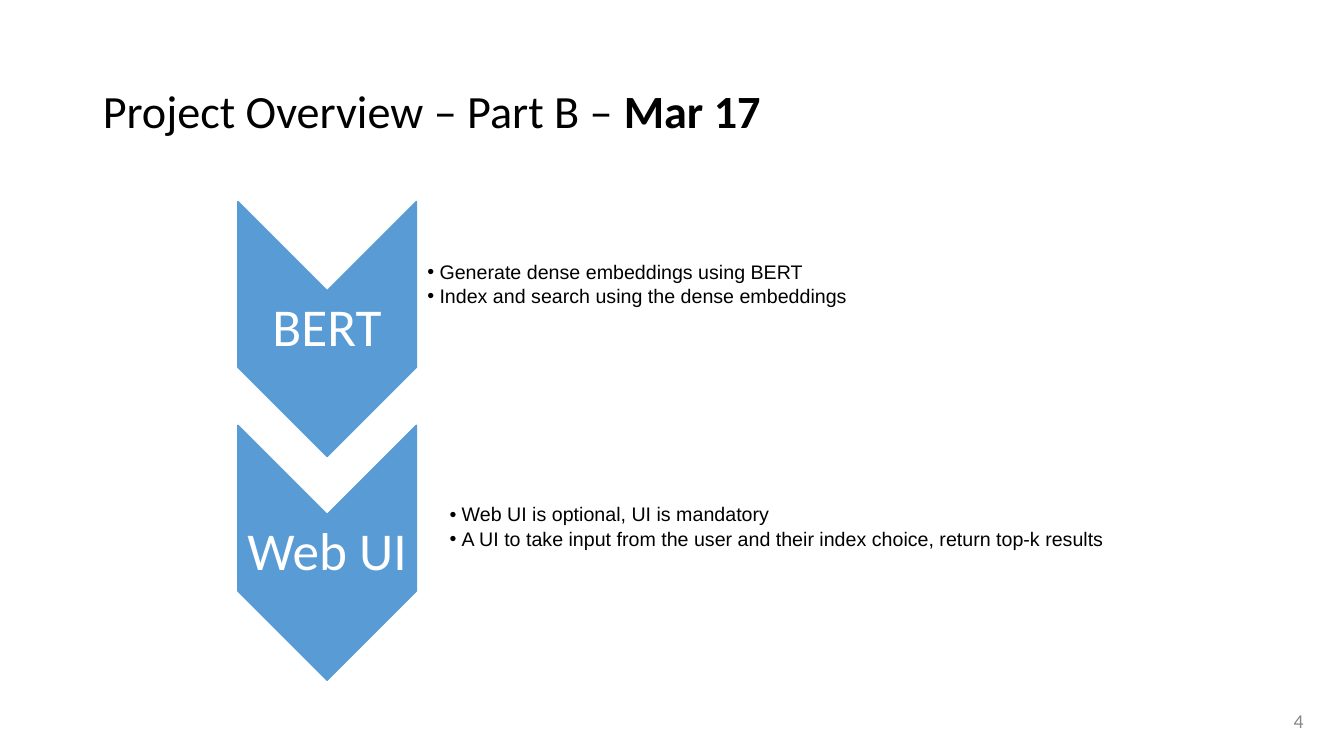
from dataclasses import dataclass

from lxml.etree import SubElement
from pptx import Presentation
from pptx.dml.color import RGBColor as Rgb
from pptx.enum.shapes import MSO_SHAPE as Shape
from pptx.enum.text import MSO_ANCHOR as Anchor, MSO_AUTO_SIZE as Auto, PP_ALIGN as Align
from pptx.oxml.ns import qn
from pptx.util import Inches, Pt

COLORS = {"ink": "000000", "step": "599BD5", "label": "FFFFFF", "number": "888888"}
WIDE, HIGH = Inches(13.33), Inches(7.5)
COL, ROW = WIDE / 100, HIGH / 100  # grid of 100 columns by 100 rows

MID = 24.34  # column of the chevron centres
FIRST, STEP = 43.53, 29.6  # row of the first centre, rows between centres
LONG, BROAD = 18.98, 23.6  # chevron before its quarter turn
LABEL_W, LABEL_H = 13.28, 10.13
LIST_W, LIST_H = 50.79, 19.87


@dataclass
class Stage:
    name: str
    left: float
    top: float
    points: list[str]


STAGES = [
    Stage("BERT", 30.98, 27.73, [
        "Generate dense embeddings using BERT",
        "Index and search using the dense embeddings",
    ]),
    Stage("Web UI", 32.63, 59.87, [
        "Web UI is optional, UI is mandatory",
        "A UI to take input from the user and their index choice, return top-k results",
    ]),
]


def color(name: str) -> Rgb:
    return Rgb.from_string(COLORS[name])


def grid(x: float, y: float, w: float, h: float) -> tuple[int, int, int, int]:
    """Turn columns and rows into lengths."""
    return round(x * COL), round(y * ROW), round(w * COL), round(h * ROW)


def place(shape, x: float, y: float, w: float, h: float) -> None:
    shape.left, shape.top, shape.width, shape.height = grid(x, y, w, h)


def frame(shape, pads: tuple[float, float, float, float]):
    """Ready the text frame; pads are left, top, right and bottom in inches."""
    text = shape.text_frame
    text.word_wrap = True
    text.auto_size = Auto.NONE
    text.vertical_anchor = Anchor.MIDDLE
    text.margin_left, text.margin_top, text.margin_right, text.margin_bottom = map(Inches, pads)
    return text


def style(para, size: float, ink: str, face: str = "Calibri",
          align: Align = Align.LEFT, lead: float = 0.9) -> None:
    para.alignment = align
    para.line_spacing = lead
    for run in para.runs:
        run.font.size = Pt(size)
        run.font.name = face
        run.font.color.rgb = color(ink)


def bullet(para) -> None:
    props = para._p.get_or_add_pPr()
    props.set("marL", str(Inches(0.12)))
    props.set("indent", str(-Inches(0.12)))
    tint = SubElement(props, qn("a:buClr"))
    SubElement(tint, qn("a:srgbClr"), val=COLORS["ink"])
    SubElement(props, qn("a:buFont"), typeface="Arial")
    SubElement(props, qn("a:buChar"), char="•")


def title(shape) -> None:
    place(shape, 6.9, 5.33, 86.27, 19.33)
    para = frame(shape, (0.1, 0.05, 0.1, 0.05)).paragraphs[0]
    para.text = "Project Overview – Part B – "
    para.add_run().text = "Mar 17"
    style(para, 33, "ink")
    para.runs[1].font.bold = True


def caption(slide, text: str, box: tuple[int, int, int, int], pads: tuple,
            size: float, ink: str, align: Align, lead: float) -> None:
    area = frame(slide.shapes.add_textbox(*box), pads)
    area.text = text
    style(area.paragraphs[0], size, ink, align=align, lead=lead)


def chevron(slide, stage: Stage, row: float) -> None:
    x, y, w, h = grid(MID, row, LONG, ROW and BROAD)
    arrow = slide.shapes.add_shape(Shape.CHEVRON, x - w // 2, y - h // 2, w, h)
    arrow.rotation = 90
    arrow.adjustments[0] = 0.5
    arrow.shadow.inherit = False
    arrow.fill.solid()
    arrow.fill.fore_color.rgb = color("step")
    arrow.line.color.rgb = color("step")
    arrow.line.width = Pt(1)
    box = grid(MID - LABEL_W / 2, row - LABEL_H / 2, LABEL_W, LABEL_H)
    caption(slide, stage.name, box, (0.03,) * 4, 38, "label", Align.CENTER, 0.9)


def points(shape, stage: Stage) -> None:
    place(shape, stage.left, stage.top, LIST_W, LIST_H)
    text = frame(shape, (0.11, 0.01, 0.01, 0.01))
    text.text = "\n".join(stage.points)
    for para in text.paragraphs:
        para.level = 1
        para.space_before = Pt(2.1)
        style(para, 14, "ink", face="Arial")
        bullet(para)


def main() -> None:
    deck = Presentation()
    deck.slide_width, deck.slide_height = WIDE, HIGH
    slide = deck.slides.add_slide(deck.slide_layouts.get_by_name("Two Content"))
    title(slide.shapes.title)
    for i, stage in enumerate(STAGES):
        chevron(slide, stage, FIRST + i * STEP)
        points(slide.placeholders[i + 1], stage)
    caption(slide, "4", grid(75.24, 92.67, 22.5, 5.33), (0.1, 0.05, 0.1, 0.05),
            14, "number", Align.RIGHT, 1.0)
    deck.save("out.pptx")


if __name__ == "__main__":
    main()
